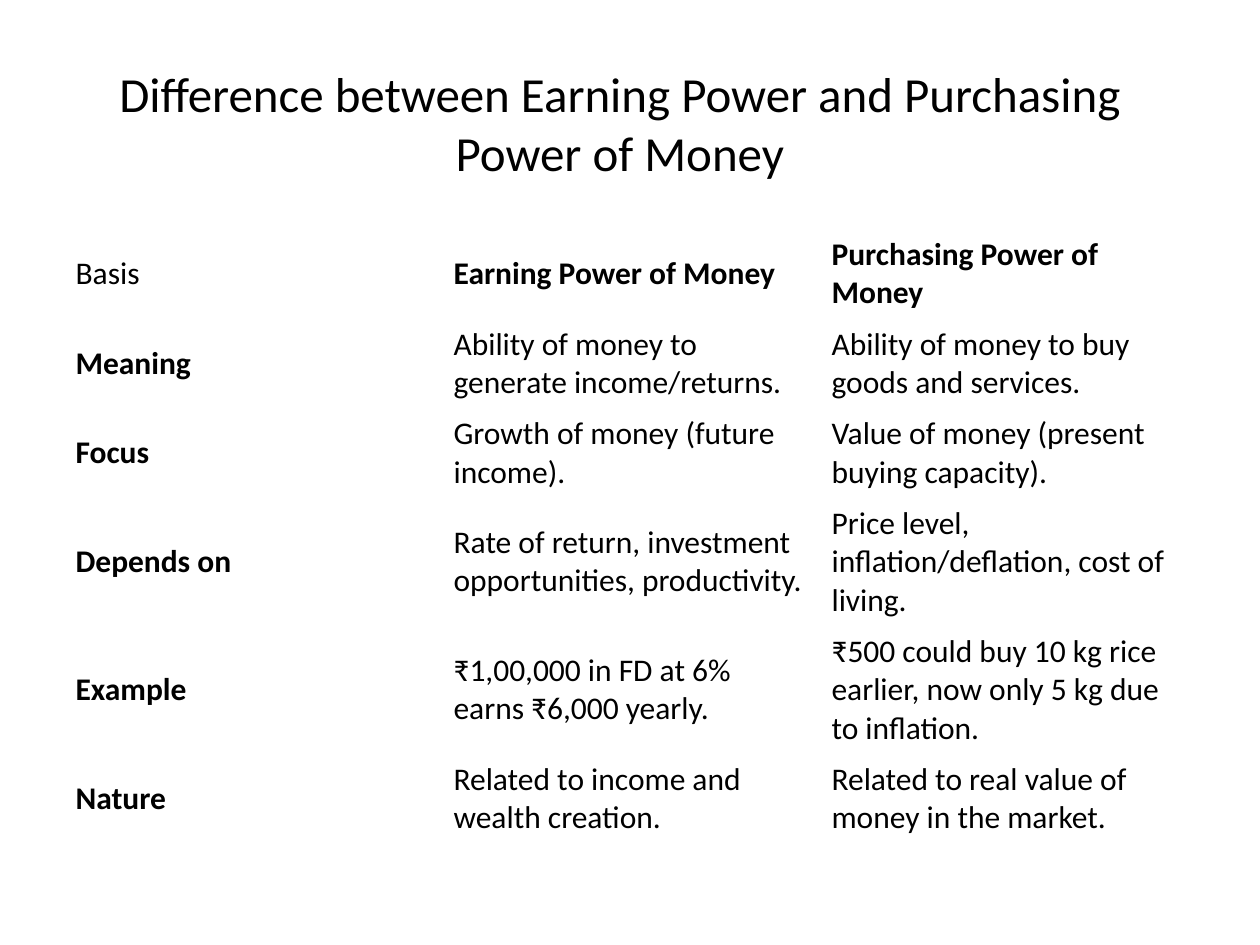
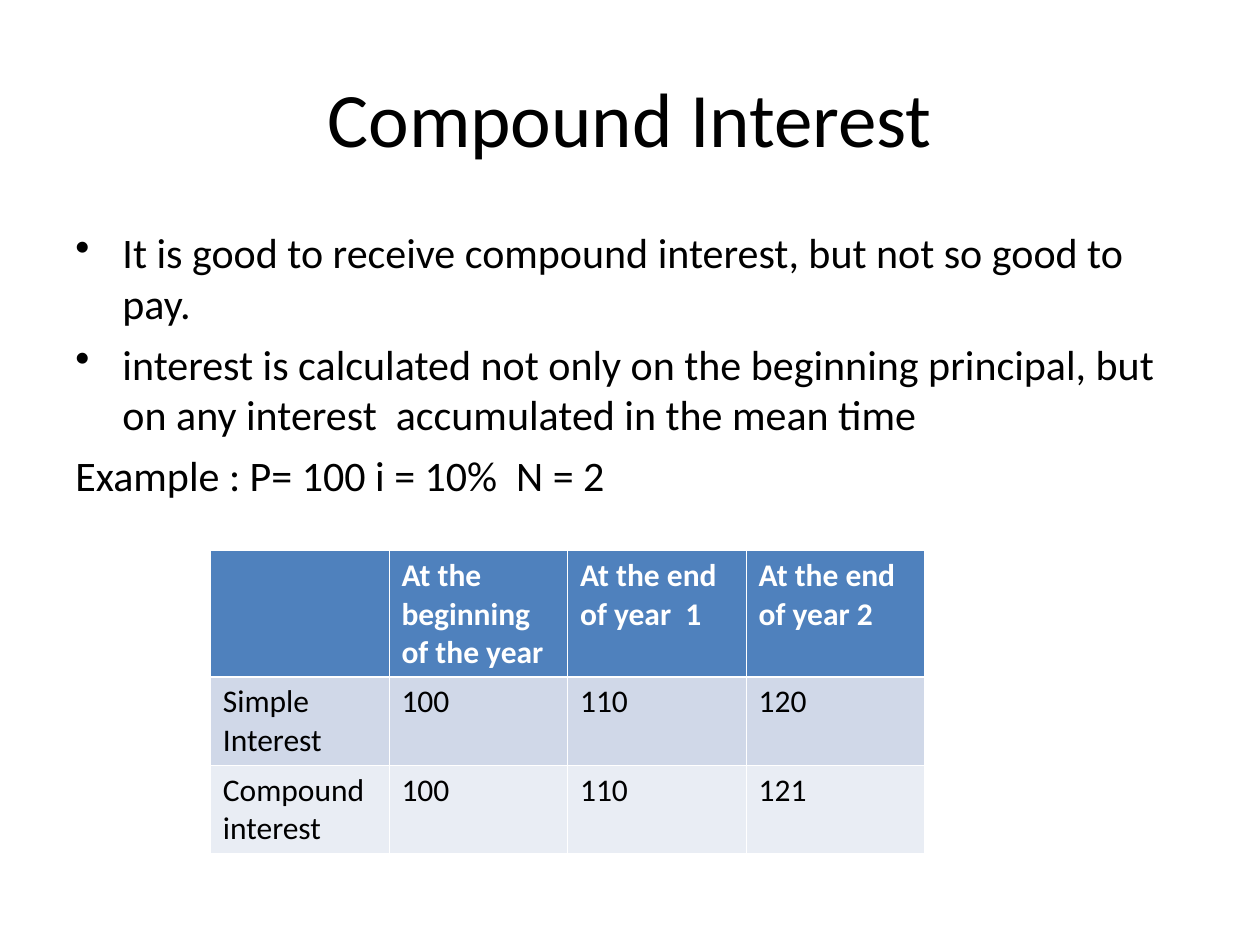
import pptx
import pptx.dml.color
import pptx.enum.text
import pptx.oxml
import pptx.oxml.ns
import pptx.util
from pptx.util import Cm

MIDDLE = pptx.enum.text.MSO_ANCHOR.MIDDLE
TOP = pptx.enum.text.MSO_ANCHOR.TOP


def colour(value):
    return pptx.dml.color.RGBColor.from_string(value)


class Slides:
    FONT = "Calibri"
    INK = "000000"
    WHITE = "FFFFFF"
    HEADER = "4F81BD"
    BANDS = ("D0D8E8", "E9EDF4")
    THIN, THICK = 0.45, 1.47
    TITLE_ONLY = 5

    def __init__(self, deck):
        self.deck = deck
        self.page = None

    def style(self, para, size, ink=INK, bold=False):
        for span in para.runs:
            font = span.font
            font.name, font.size, font.bold = self.FONT, pptx.util.Pt(size), bold
            font.color.rgb = colour(ink)

    def add_page(self, title, left, top, width, height, size):
        self.page = self.deck.slides.add_slide(self.deck.slide_layouts[self.TITLE_ONLY])
        box = self.page.shapes.title
        box.left, box.top, box.width, box.height = Cm(left), Cm(top), Cm(width), Cm(height)
        frame = box.text_frame
        frame.text = title
        frame.word_wrap = True
        frame.auto_size = pptx.enum.text.MSO_AUTO_SIZE.NONE
        frame.vertical_anchor = MIDDLE
        frame.paragraphs[0].alignment = pptx.enum.text.PP_ALIGN.CENTER
        self.style(frame.paragraphs[0], size)

    def add_body(self, lines, left, top, width, height, size=24):
        """Write (text, bulleted) lines; all hang by the same indent."""
        box = self.page.shapes.add_textbox(Cm(left), Cm(top), Cm(width), Cm(height))
        frame = box.text_frame
        frame.word_wrap = True
        for number, (text, bulleted) in enumerate(lines):
            para = frame.add_paragraph() if number else frame.paragraphs[0]
            para.text = text
            para.space_before = pptx.util.Pt(6)
            self.style(para, size)
            properties = para._p.get_or_add_pPr()
            properties.set("marL", str(Cm(0.95)))
            properties.set("indent", str(Cm(-0.95)))
            bullet = '<a:buChar %s char="•"/>' if bulleted else "<a:buNone %s/>"
            properties.append(pptx.oxml.parse_xml(bullet % pptx.oxml.ns.nsdecls("a")))

    def add_table(self, rows, left, top, column_width, heights, anchor):
        """Add an unstyled table and return it."""
        count = len(rows[0])
        table = self.page.shapes.add_table(
            len(rows), count, Cm(left), Cm(top),
            Cm(column_width * count), Cm(sum(heights))).table
        table.first_row = table.horz_banding = False
        for column in table.columns:
            column.width = Cm(column_width)
        for row, height, texts in zip(table.rows, heights, rows):
            row.height = Cm(height)
            for cell, text in zip(row.cells, texts):
                cell.vertical_anchor = anchor
                cell.fill.background()
                if text:
                    cell.text = text
                    self.style(cell.text_frame.paragraphs[0], 18)
        return table

    def set_borders(self, cell, top, bottom):
        widths = {"lnL": self.THIN, "lnR": self.THIN, "lnT": top, "lnB": bottom}
        # Borders stand before the fill in the cell properties
        for place, (side, width) in enumerate(widths.items()):
            cell._tc.get_or_add_tcPr().insert(place, pptx.oxml.parse_xml(
                f'<a:{side} {pptx.oxml.ns.nsdecls("a")} w="{pptx.util.Pt(width)}">'
                f'<a:solidFill><a:srgbClr val="{self.WHITE}"/></a:solidFill></a:{side}>'))

    def band_table(self, table):
        for number, row in enumerate(table.rows):
            fill = self.BANDS[(number - 1) % 2] if number else self.HEADER
            top = self.THICK if number == 1 else self.THIN
            bottom = self.THIN if number else self.THICK
            for cell in row.cells:
                cell.fill.solid()
                cell.fill.fore_color.rgb = colour(fill)
                self.set_borders(cell, top, bottom)
                if number == 0:
                    self.style(cell.text_frame.paragraphs[0], 18, self.WHITE, True)


def add_power_comparison(slides):
    slides.add_page("Difference between Earning Power and Purchasing Power of Money",
                    1.7, 0.43, 21.59, 4.09, 28)
    rows = [
        ("Basis", "Earning Power of Money", "Purchasing Power of Money"),
        ("Meaning", "Ability of money to generate income/returns.",
         "Ability of money to buy goods and services."),
        ("Focus", "Growth of money (future income).",
         "Value of money (present buying capacity)."),
        ("Depends on", "Rate of return, investment opportunities, productivity.",
         "Price level, inflation/deflation, cost of living."),
        ("Example", "₹1,00,000 in FD at 6% earns ₹6,000 yearly.",
         "₹500 could buy 10 kg rice earlier, now only 5 kg due to inflation."),
        ("Nature", "Related to income and wealth creation.",
         "Related to real value of money in the market."),
    ]
    table = slides.add_table(rows, 1.27, 4.62, 7.62,
                             (1.78, 1.78, 1.78, 2.54, 2.54, 1.78), MIDDLE)
    # Bold headings along the top and down the side, except the corner
    for row in range(len(rows)):
        for column in range(len(rows[0])):
            if (row == 0) != (column == 0):
                slides.style(table.cell(row, column).text_frame.paragraphs[0], 18, bold=True)


def add_compound_interest(slides):
    slides.add_page("Compound Interest", 1.27, 0.76, 22.86, 3.18, 44)
    body = [
        ("It is good to receive compound interest, but not so good to pay.", True),
        ("interest is calculated not only on the beginning principal, "
         "but on any interest  accumulated in the mean time", True),
        ("Example : P= 100 i = 10%  N = 2", False),
    ]
    slides.add_body(body, 1.27, 4.45, 22.86, 12.57)
    # Growth of the principal under each kind of interest
    rows = [
        ("", "At the  beginning  of the year", "At the end of year  1", "At the end of year 2"),
        ("Simple Interest", "100", "110", "120"),
        ("Compound interest", "100", "110", "121"),
    ]
    table = slides.add_table(rows, 4.24, 11.1, 3.6, (2.54, 1.78, 1.78), TOP)
    slides.band_table(table)


def main():
    deck = pptx.Presentation()
    deck.slide_width, deck.slide_height = Cm(25.4), Cm(19.05)
    slides = Slides(deck)
    add_power_comparison(slides)
    add_compound_interest(slides)
    deck.save("out.pptx")


if __name__ == "__main__":
    main()
